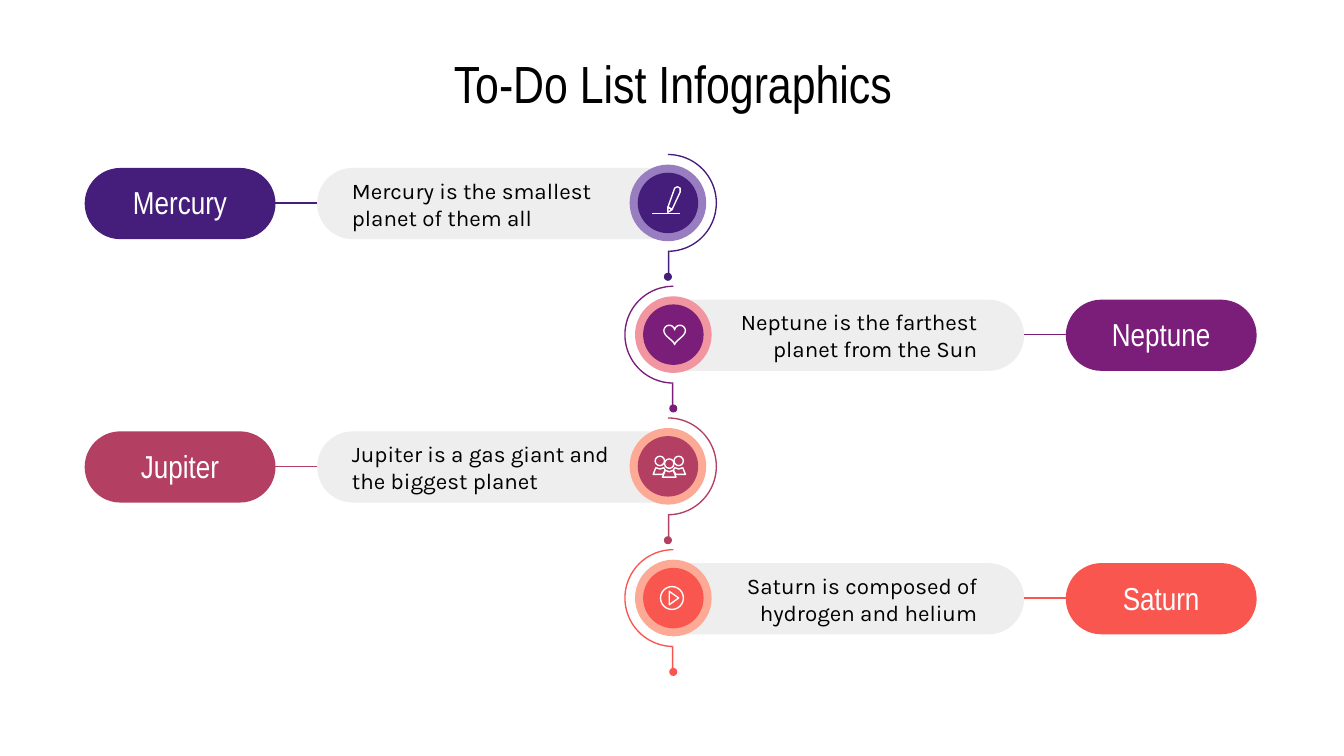
"""Build a slide with a four-step planet to-do list along a central chain."""
import math

import pptx
import pptx.dml.color
import pptx.enum.shapes
import pptx.enum.text
import pptx.oxml.ns
import pptx.util
from lxml import etree
from pptx.util import Inches

COLORS = {
    "black": "000000", "white": "FFFFFF", "bar": "EEEEEE",
    "indigo": "451E7B", "lavender": "997DC1",
    "purple": "7B1E7A", "pink": "F196A0",
    "berry": "B33F62", "coral": "F9564F", "peach": "FCAA95",
}
ROWS = [
    ("Mercury", "Mercury is the smallest planet of them all", "indigo", "lavender", "pencil"),
    ("Neptune", "Neptune is the farthest planet from the Sun", "purple", "pink", "heart"),
    ("Jupiter", "Jupiter is a gas giant and the biggest planet", "berry", "peach", "people"),
    ("Saturn", "Saturn is composed of hydrogen and helium", "coral", "peach", "play"),
]
SLIDE_WIDTH = 10
FIRST_Y, ROW_PITCH = 1.51, 0.98
MIRROR_WIDTH = 9.98
HUB_X = 4.97
PILL_X, PILL_WIDTH = 0.63, 1.42
LABEL_X, LABEL_WIDTH = 0.79, 1.1
BAR_X, BAR_WIDTH = 2.36, 2.89
PRESET = pptx.enum.shapes.MSO_SHAPE
ALIGN = pptx.enum.text.PP_ALIGN


def rgb(name):
    return pptx.dml.color.RGBColor.from_string(COLORS[name])


def paint(shape, fill=None, line=None):
    shape.shadow.inherit = False
    if fill:
        shape.fill.solid()
        shape.fill.fore_color.rgb = rgb(fill)
    else:
        shape.fill.background()
    if line:
        shape.line.color.rgb = rgb(line)
        shape.line.width = pptx.util.Pt(0.75)
    else:
        shape.line.fill.background()


def write(shape, text, font, size, color, align):
    frame = shape.text_frame
    frame.word_wrap = True
    frame.vertical_anchor = pptx.enum.text.MSO_ANCHOR.MIDDLE
    frame.margin_left = frame.margin_right = Inches(0.1)
    frame.margin_top = frame.margin_bottom = Inches(0.1)
    paragraph = frame.paragraphs[0]
    paragraph.alignment = align
    run = paragraph.add_run()
    run.text = text
    run.font.name = font
    run.font.size = pptx.util.Pt(size)
    run.font.color.rgb = rgb(color)


def add_text(slide, x, y, width, height, *style):
    box = slide.shapes.add_textbox(Inches(x), Inches(y), Inches(width), Inches(height))
    write(box, *style)


def add_preset(slide, preset, x, y, width, height, fill=None, line=None):
    shape = slide.shapes.add_shape(
        preset, Inches(x), Inches(y), Inches(width), Inches(height))
    paint(shape, fill, line)
    return shape


def add_capsule(slide, x, y, width, fill):
    shape = add_preset(slide, PRESET.ROUNDED_RECTANGLE, x, y, width, 0.53, fill)
    shape.adjustments[0] = 0.5


def add_circle(slide, x, y, diameter, fill=None, line=None):
    add_preset(slide, PRESET.OVAL, x - diameter / 2, y - diameter / 2,
               diameter, diameter, fill, line)


def add_outline(slide, x, y, offsets, fill=None, line=None):
    points = [(Inches(x + dx), Inches(y + dy)) for dx, dy in offsets]
    builder = slide.shapes.build_freeform(*points[0], scale=1.0)
    builder.add_line_segments(points[1:], close=True)
    paint(builder.convert_to_shape(), fill, line)


def add_line(slide, x1, x2, y, color):
    line = slide.shapes.add_connector(
        pptx.enum.shapes.MSO_CONNECTOR.STRAIGHT,
        Inches(x1), Inches(y), Inches(x2), Inches(y))
    line.line.color.rgb = rgb(color)
    line.line.width = pptx.util.Pt(0.75)
    etree.SubElement(line._element.spPr, pptx.oxml.ns.qn("a:effectLst"))


def add_hook(slide, x, y, side, color):
    angles = [math.radians(degree) for degree in range(-90, 91, 3)]
    outer, inner = (
        [(side * diameter / 2 * math.cos(angle), diameter / 2 * math.sin(angle))
         for angle in angles]
        for diameter in (0.73, 0.71))
    stem = [(side * 0.01, 0.36), (side * 0.01, 0.54), (0, 0.54)]
    add_outline(slide, x, y, outer + stem + inner[::-1], color)
    add_circle(slide, x, y + 0.55, 0.06, color)


def draw_pencil(slide, x, y):
    body = [(0.07, -0.12), (0.05, -0.11), (0, 0.03), (0.03, 0.05),
            (0.09, -0.08), (0.09, -0.11)]
    add_outline(slide, x, y, body, line="white")
    add_outline(slide, x, y, [(0, 0.03), (0, 0.07), (0.03, 0.05)], line="white")
    add_line(slide, x - 0.12, x + 0.09, y + 0.08, "white")


def draw_heart(slide, x, y):
    curve = []
    for degree in range(0, 360, 6):
        t = math.radians(degree)
        height = 13 * math.cos(t) - 5 * math.cos(2 * t) - 2 * math.cos(3 * t) - math.cos(4 * t)
        curve.append((0.08 * math.sin(t) ** 3, -height * 0.08 / 16))
    add_outline(slide, x + 0.01, y - 0.01, curve, line="white")


def draw_people(slide, x, y):
    middle = x + 0.01
    torso = [(-0.1, 0.01), (-0.12, 0.06), (-0.05, 0.06), (-0.03, 0.03),
             (-0.04, 0.01), (-0.07, 0.02)]
    for side in (-1, 1):
        add_circle(slide, middle + side * 0.07, y - 0.04, 0.07, line="white")
        add_outline(slide, middle, y, [(-side * dx, dy) for dx, dy in torso], line="white")
    add_circle(slide, middle, y - 0.02, 0.07, "berry", "white")
    front = [(-0.03, 0.03), (-0.05, 0.08), (0.05, 0.08), (0.03, 0.03), (0, 0.04)]
    add_outline(slide, middle, y, front, "berry", "white")


def draw_play(slide, x, y):
    add_circle(slide, x - 0.01, y, 0.17, line="white")
    add_outline(slide, x - 0.01, y, [(-0.02, -0.05), (-0.02, 0.05), (0.05, 0)], line="white")


ICONS = {"pencil": draw_pencil, "heart": draw_heart,
         "people": draw_people, "play": draw_play}


def add_row(slide, index, name, description, color, ring, icon):
    y = FIRST_Y + index * ROW_PITCH
    mirrored = index % 2 == 1

    def place(x, width=0):
        return MIRROR_WIDTH - x - width if mirrored else x

    add_capsule(slide, place(BAR_X, BAR_WIDTH), y - 0.26, BAR_WIDTH, "bar")
    panel = add_preset(slide, PRESET.RECTANGLE, 5.22 if mirrored else 2.52,
                       y - 0.19, 2.15, 0.39, "bar")
    write(panel, description, "Karla", 12, "black",
          ALIGN.RIGHT if mirrored else ALIGN.LEFT)
    add_capsule(slide, place(PILL_X, PILL_WIDTH), y - 0.26, PILL_WIDTH, color)
    add_text(slide, place(LABEL_X, LABEL_WIDTH), y - 0.13, LABEL_WIDTH, 0.25,
             name, "Arial Narrow", 17, "white", ALIGN.CENTER)
    add_line(slide, place(PILL_X + PILL_WIDTH), place(BAR_X), y, color)
    hub = place(HUB_X)
    add_circle(slide, hub, y, 0.57, ring)
    add_hook(slide, hub, y, -1 if mirrored else 1, color)
    add_circle(slide, hub, y, 0.45, color)
    ICONS[icon](slide, hub, y)


def main():
    presentation = pptx.Presentation()
    presentation.slide_width = Inches(SLIDE_WIDTH)
    presentation.slide_height = Inches(SLIDE_WIDTH * 9 / 16)
    slide = presentation.slides.add_slide(presentation.slide_layouts[6])
    add_text(slide, 0.78, 0.35, 8.45, 0.53, "To-Do List Infographics",
             "Arial Narrow", 28, "black", ALIGN.CENTER)
    for index, row in enumerate(ROWS):
        add_row(slide, index, *row)
    presentation.save("out.pptx")


if __name__ == "__main__":
    main()
